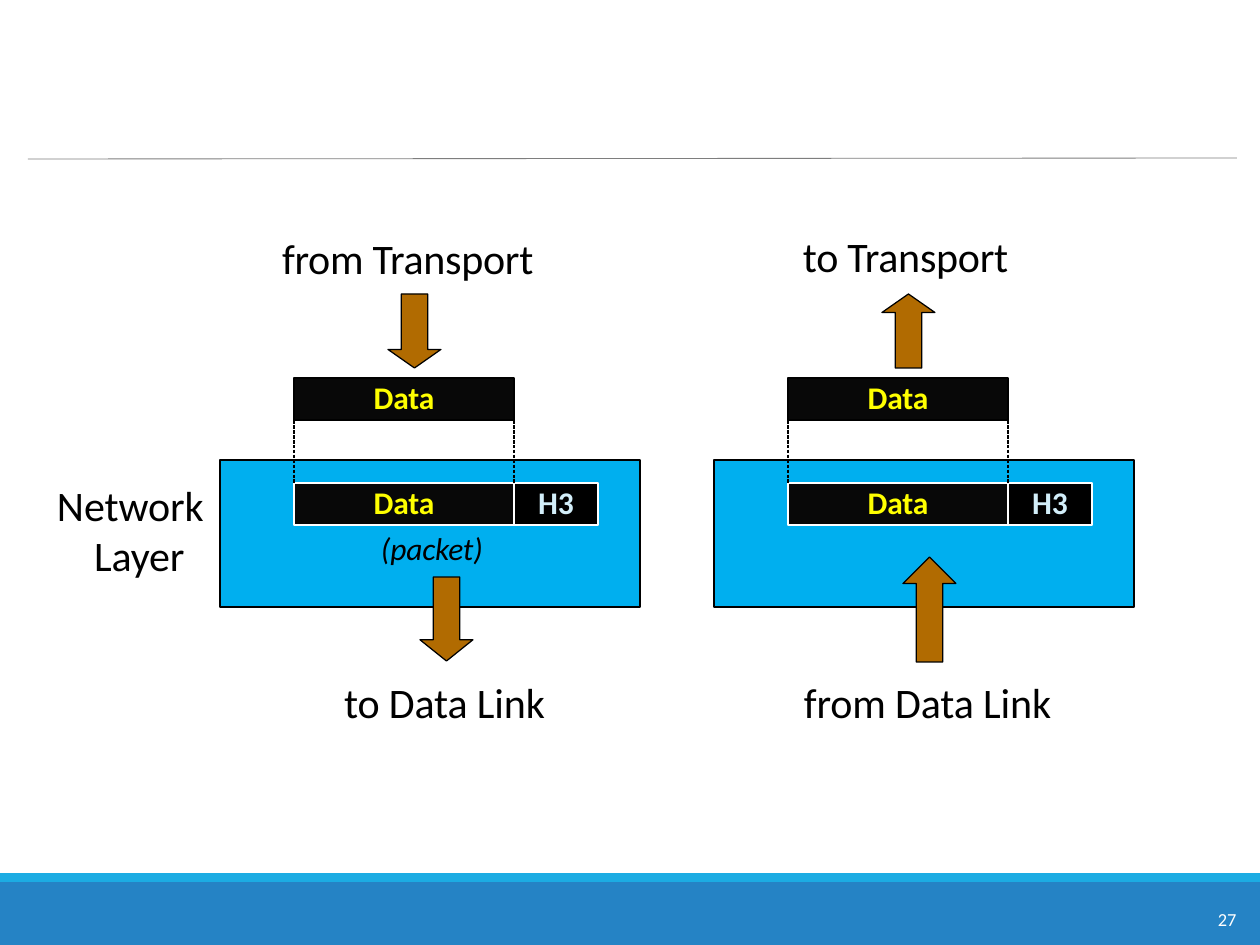
from lxml.etree import SubElement
from pptx import Presentation
from pptx.dml.color import RGBColor
from pptx.enum.dml import MSO_LINE
from pptx.enum.shapes import MSO_CONNECTOR, MSO_SHAPE
from pptx.enum.text import MSO_ANCHOR, PP_ALIGN
from pptx.oxml.ns import qn
from pptx.util import Emu, Pt

COLORS = {
    "footer": "2583C5", "stripe": "1CACE3", "rule": "7E7E7E",
    "panel": "00AFEF", "data": "080808", "header": "000000",
    "arrow": "B16B01", "black": "000000", "white": "FFFFFF",
    "yellow": "FFFF00", "pale": "D2EEF9",
}
FONT = "Calibri"
DOWN, UP = MSO_SHAPE.DOWN_ARROW, MSO_SHAPE.UP_ARROW

SIDES = [
    {"left": 220,
     "labels": [("from Transport", 282, 230, 260, -16), ("to Data Link", 344, 674, 206, -8)],
     "arrows": [(DOWN, 388, 294, 74, 0.35), (DOWN, 420, 577, 84, 0.4)]},
    {"left": 714,
     "labels": [("to Transport", 803, 229, 213, -16), ("from Data Link", 804, 674, 252, -8)],
     "arrows": [(UP, 882, 294, 74, 0.35), (UP, 903, 557, 105, 0.5)]},
]
PANEL_TOP, PANEL_WIDTH, PANEL_HEIGHT = 460, 420, 147
DATA_INSET, DATA_WIDTH, HEADER_WIDTH, BLOCK_HEIGHT = 74, 220, 84, 42
SEGMENT_TOP, PACKET_TOP = 378, 483
ARROW_WIDTH = 53


def px(value):
    return Emu(round(value * 914400 / 126))


def color(name):
    return RGBColor.from_string(COLORS[name])


def write(box, text, size=24, ink="black", bold=False, italic=False,
          align=PP_ALIGN.LEFT, anchor=MSO_ANCHOR.TOP, hanging=0, spacing=0):
    centered = anchor == MSO_ANCHOR.MIDDLE
    frame = box.text_frame
    frame.word_wrap = True
    frame.vertical_anchor = anchor
    frame.margin_left = frame.margin_right = 0
    frame.margin_top = px(0 if centered else 2)
    frame.margin_bottom = px(4 if centered else 0)
    para = frame.paragraphs[0]
    para.alignment = align
    if hanging:
        properties = para._p.get_or_add_pPr()
        properties.set("marL", str(px(hanging)))
        properties.set("indent", str(px(-hanging)))
    for index, line in enumerate(text.split("\n")):
        if index:
            para.add_line_break()
        span = para.add_run()
        span.text = line
        span.font.name = FONT
        span.font.size = Pt(size)
        span.font.bold = bold
        span.font.italic = italic
        span.font.color.rgb = color(ink)
        if spacing:
            span._r.get_or_add_rPr().set("spc", str(spacing))


def add_label(page, text, left, top, width, height=54, **style):
    box = page.shapes.add_textbox(px(left), px(top), px(width), px(height))
    write(box, text, **style)


def add_block(page, left, top, width, height, fill, line=None, kind=MSO_SHAPE.RECTANGLE):
    block = page.shapes.add_shape(kind, px(left), px(top), px(width), px(height))
    block.shadow.inherit = False
    block.fill.solid()
    block.fill.fore_color.rgb = color(fill)
    if line:
        block.line.color.rgb = color(line)
        block.line.width = Pt(0.72)
    else:
        block.line.fill.background()
    return block


def add_field(page, text, left, top, width, fill, line, ink):
    block = add_block(page, left, top, width, BLOCK_HEIGHT, fill, line)
    write(block, text, size=18, ink=ink, bold=True, spacing=-10,
          align=PP_ALIGN.CENTER, anchor=MSO_ANCHOR.MIDDLE)


def add_line(page, start, end, ink, width, dash=None):
    line = page.shapes.add_connector(
        MSO_CONNECTOR.STRAIGHT, px(start[0]), px(start[1]), px(end[0]), px(end[1]))
    line.line.color.rgb = color(ink)
    line.line.width = Pt(width)
    if dash:
        line.line.dash_style = dash
    SubElement(line._element.spPr, qn("a:effectLst"))


def add_side(page, side):
    left = side["left"]
    data_left = left + DATA_INSET
    data_right = data_left + DATA_WIDTH
    add_block(page, left, PANEL_TOP, PANEL_WIDTH, PANEL_HEIGHT, "panel", "black")
    for top, line in ((SEGMENT_TOP, "black"), (PACKET_TOP, "white")):
        add_field(page, "Data", data_left, top, DATA_WIDTH, "data", line, "yellow")
    add_field(page, "H3", data_right, PACKET_TOP, HEADER_WIDTH, "header", "white", "pale")
    for x in (data_left, data_right):
        add_line(page, (x, SEGMENT_TOP + BLOCK_HEIGHT), (x, PACKET_TOP),
                 "black", 0.72, MSO_LINE.SQUARE_DOT)
    for kind, x, top, height, head in side["arrows"]:
        arrow = add_block(page, x, top, ARROW_WIDTH, height, "arrow", "black", kind)
        arrow.adjustments[0] = 0.5
        arrow.adjustments[1] = head
    for text, x, top, width, spacing in side["labels"]:
        add_label(page, text, x, top, width, spacing=spacing)


def main():
    deck = Presentation()
    deck.slide_width, deck.slide_height = px(1260), px(945)
    page = deck.slides.add_slide(deck.slide_layouts[6])
    add_block(page, 0, 882, 1260, 63, "footer")
    add_block(page, 0, 873, 1260, 9, "stripe")
    add_line(page, (28, 159), (1237, 158), "rule", 0.48)
    for side in SIDES:
        add_side(page, side)
    add_label(page, "Network\nLayer", 57, 477, 155, 105, hanging=37, spacing=-5)
    add_label(page, "(packet)", 223, 527, 418, 42, size=18, italic=True,
              align=PP_ALIGN.CENTER, spacing=-10)
    add_label(page, "27", 1218, 906, 25, 22, size=10.5, ink="white")
    deck.save("out.pptx")


if __name__ == "__main__":
    main()
